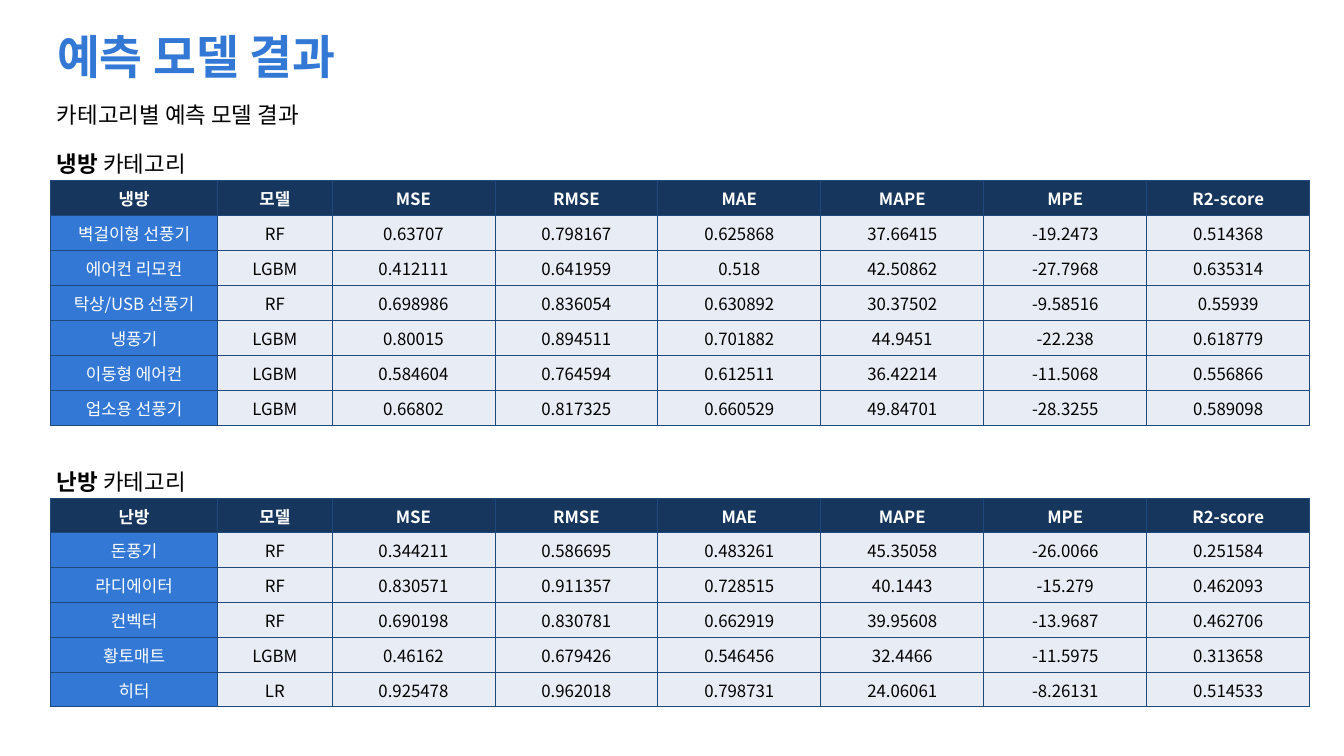
from lxml.etree import SubElement
from pptx import Presentation
from pptx.dml.color import RGBColor
from pptx.enum.text import MSO_ANCHOR as ANCHOR, PP_ALIGN as ALIGN
from pptx.oxml.ns import qn
from pptx.util import Pt

FONT = "Noto Sans CJK KR"
COLORS = {
    "title": "3378D5",
    "text": "000000",
    "header": "17365D",
    "name": "3378D5",
    "body": "E8ECF4",
    "light": "FFFFFF",
    "border": "1F497D",
}
LEFT = 54
COL_WIDTHS = [179.3, 122.4] + [174.6] * 6
METRICS = ["모델", "MSE", "RMSE", "MAE", "MAPE", "MPE", "R2-score"]
COOLING = [
    ["벽걸이형 선풍기", "RF", "0.63707", "0.798167", "0.625868", "37.66415", "-19.2473", "0.514368"],
    ["에어컨 리모컨", "LGBM", "0.412111", "0.641959", "0.518", "42.50862", "-27.7968", "0.635314"],
    ["탁상/USB 선풍기", "RF", "0.698986", "0.836054", "0.630892", "30.37502", "-9.58516", "0.55939"],
    ["냉풍기", "LGBM", "0.80015", "0.894511", "0.701882", "44.9451", "-22.238", "0.618779"],
    ["이동형 에어컨", "LGBM", "0.584604", "0.764594", "0.612511", "36.42214", "-11.5068", "0.556866"],
    ["업소용 선풍기", "LGBM", "0.66802", "0.817325", "0.660529", "49.84701", "-28.3255", "0.589098"],
]
HEATING = [
    ["돈풍기", "RF", "0.344211", "0.586695", "0.483261", "45.35058", "-26.0066", "0.251584"],
    ["라디에이터", "RF", "0.830571", "0.911357", "0.728515", "40.1443", "-15.279", "0.462093"],
    ["컨벡터", "RF", "0.690198", "0.830781", "0.662919", "39.95608", "-13.9687", "0.462706"],
    ["황토매트", "LGBM", "0.46162", "0.679426", "0.546456", "32.4466", "-11.5975", "0.313658"],
    ["히터", "LR", "0.925478", "0.962018", "0.798731", "24.06061", "-8.26131", "0.514533"],
]


def rgb(name):
    return RGBColor.from_string(COLORS[name])


def set_attrs(obj, values):
    for key, value in values.items():
        setattr(obj, key, value)


def add_run(p, text, size, color, bold=False):
    r = p.add_run()
    r.text = text
    set_attrs(r.font, {"name": FONT, "size": Pt(size), "bold": bold})
    r.font.color.rgb = rgb(color)
    SubElement(r.font._element, qn("a:ea")).set("typeface", FONT)


def add_text(slide, top, width, height, runs, size, color="text", align=None):
    sp = slide.shapes.add_textbox(Pt(LEFT), Pt(top), Pt(width), Pt(height))
    tf = sp.text_frame
    set_attrs(tf, {"word_wrap": True, "vertical_anchor": ANCHOR.MIDDLE})
    p = tf.paragraphs[0]
    p.alignment = align
    for text, bold in runs:
        add_run(p, text, size, color, bold)


def add_borders(cell):
    tc_pr = cell._tc.get_or_add_tcPr()
    for i, side in enumerate(("lnL", "lnR", "lnT", "lnB")):
        ln = tc_pr.makeelement(qn(f"a:{side}"), {"w": str(Pt(1))})
        fill = SubElement(ln, qn("a:solidFill"))
        SubElement(fill, qn("a:srgbClr")).set("val", COLORS["border"])
        tc_pr.insert(i, ln)


def fill_cell(cell, text, fill, color, bold):
    set_attrs(cell, {
        "margin_left": Pt(0.7),
        "margin_right": Pt(0.7),
        "margin_top": Pt(0.7),
        "margin_bottom": 0,
        "vertical_anchor": ANCHOR.MIDDLE,
    })
    cell.fill.solid()
    cell.fill.fore_color.rgb = rgb(fill)
    p = cell.text_frame.paragraphs[0]
    p.alignment = ALIGN.CENTER
    add_run(p, text, 18, color, bold)
    add_borders(cell)


def cell_style(row, col):
    if row == 0:
        return "header", "light", True
    if col == 0:
        return "name", "light", False
    return "body", "text", False


def add_results(slide, top, height, rows):
    table = slide.shapes.add_table(
        len(rows), len(COL_WIDTHS), Pt(LEFT), Pt(top), Pt(sum(COL_WIDTHS)), Pt(height)
    ).table
    table.horz_banding = False
    for column, width in zip(table.columns, COL_WIDTHS):
        column.width = Pt(width)
    for i, row in enumerate(rows):
        table.rows[i].height = Pt(height / len(rows))
        for j, text in enumerate(row):
            fill_cell(table.cell(i, j), text, *cell_style(i, j))


def add_category(slide, name, top, height, rows):
    add_text(slide, top, 292.3, 35.3, [(f"{name} ", True), ("카테고리", False)], 24)
    add_results(slide, top + 35.3, height, [[name] + METRICS] + rows)


def main():
    prs = Presentation()
    set_attrs(prs, {"slide_width": Pt(1440), "slide_height": Pt(810)})
    slide = prs.slides.add_slide(prs.slide_layouts[6])
    add_text(slide, 30.2, 759.6, 59, [("예측 모델 결과", True)], 50, "title", ALIGN.JUSTIFY)
    add_text(slide, 105.1, 694.1, 35.3, [("카테고리별 예측 모델 결과", False)], 24)
    add_category(slide, "냉방", 157.7, 262.8, COOLING)
    add_category(slide, "난방", 498.2, 223.9, HEATING)
    prs.save("out.pptx")


if __name__ == "__main__":
    main()
